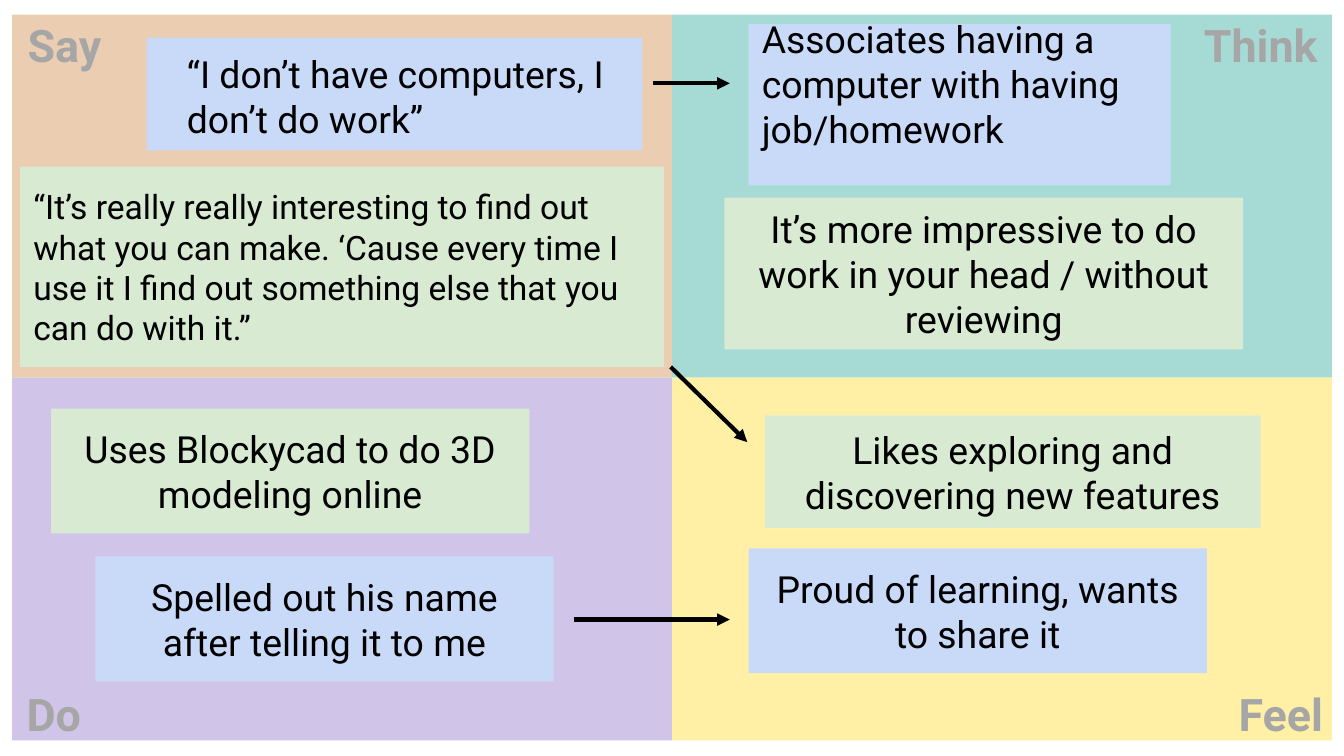
"""Build an empathy map slide with four quadrants, notes and arrows."""
from lxml import etree
from pptx import Presentation
from pptx import util as u
from pptx.dml.color import RGBColor
from pptx.enum import shapes, text
from pptx.oxml.ns import qn

FONT = "Roboto"
BLACK, WHITE, BLUE, GREEN = "000000", "FFFFFF", "C9DAF8", "D9EAD3"
LEFT, MID = text.PP_ALIGN.LEFT, text.PP_ALIGN.CENTER
TOP, CORE = text.MSO_ANCHOR.TOP, text.MSO_ANCHOR.MIDDLE

SIZE = (10, 10 * 9 / 16)
GRID = (0.09, 0.11, 4.91, 2.7)
QUADS = ["C77025", "009688", "7E57C2", "FFD600"]
LABELS = [
    ("Say", -0.14, 0.03, 1.24),
    ("Think", 8.67, 0.03, 1.42),
    ("Do", -0.22, 5.01, 1.24),
    ("Feel", 8.91, 5.01, 1.24),
]
VEIL = (0.03, 0.03, 9.93, 5.56)
PAD = (0.1, 0.1, 0.1, 0.1)
NOTES = [
    ("“I don’t have computers, I don’t do work”",
     (1.09, 0.28, 3.69, 0.84), BLUE, 20, LEFT, TOP, (0.3, 0.1, 0.1, 0.1)),
    ("Associates having a computer with having job/homework",
     (5.57, 0.18, 3.14, 1.2), BLUE, 20, LEFT, CORE, (0.1, 0, 0.1, 0.32)),
    ("“It’s really really interesting to find out what you can make. "
     "‘Cause every time I use it I find out something else that you "
     "can do with it.”",
     (0.15, 1.24, 4.79, 1.49), GREEN, 18, LEFT, CORE, PAD),
    ("Likes exploring and discovering new features",
     (5.69, 3.09, 3.69, 0.84), GREEN, 20, MID, CORE, PAD),
    ("Uses Blockycad to do 3D modeling online",
     (0.38, 3.04, 3.56, 0.93), GREEN, 20, MID, CORE, PAD),
    ("Spelled out his name after telling it to me",
     (0.71, 4.14, 3.41, 0.93), BLUE, 20, MID, CORE, PAD),
    ("Proud of learning, wants to share it",
     (5.57, 4.08, 3.41, 0.93), BLUE, 20, MID, CORE, PAD),
    ("It’s more impressive to do work in your head / without reviewing",
     (5.39, 1.47, 3.86, 1.13), GREEN, 20, MID, CORE, PAD),
]
ARROWS = [
    (4.86, 0.62, 5.43, 0.62),
    (4.99, 2.73, 5.56, 3.29),
    (4.27, 4.61, 5.43, 4.61),
]


def inches(nums):
    return [u.Inches(n) for n in nums]


def paint(target, color):
    target.solid()
    target.fore_color.rgb = RGBColor.from_string(color)


def add_rect(slide, box, color):
    rect = slide.shapes.add_shape(shapes.MSO_SHAPE.RECTANGLE, *inches(box))
    rect.shadow.inherit = False
    rect.line.fill.background()
    paint(rect.fill, color)
    return rect


def write(shape, words, size, align=MID, anchor=TOP, pad=PAD, bold=False):
    frame = shape.text_frame
    frame.word_wrap = True
    frame.vertical_anchor = anchor
    (frame.margin_left, frame.margin_top,
     frame.margin_right, frame.margin_bottom) = inches(pad)
    para = frame.paragraphs[0]
    para.alignment = align
    run = para.add_run()
    run.text = words
    run.font.name, run.font.size, run.font.bold = FONT, u.Pt(size), bold
    paint(run.font.fill, BLACK)


def add_arrow(slide, ends):
    arrow = slide.shapes.add_connector(
        shapes.MSO_CONNECTOR.STRAIGHT, *inches(ends))
    arrow.line.width = u.Pt(2.25)
    paint(arrow.line.fill, BLACK)
    etree.SubElement(arrow.line._get_or_add_ln(), qn("a:tailEnd"),
                     type="triangle")
    etree.SubElement(arrow._element.spPr, qn("a:effectLst"))


def main():
    deck = Presentation()
    deck.slide_width, deck.slide_height = inches(SIZE)
    slide = deck.slides.add_slide(deck.slide_layouts[6])
    paint(slide.background.fill, WHITE)

    left, top, wide, high = GRID
    for i, color in enumerate(QUADS):
        row, col = divmod(i, 2)
        add_rect(slide, (left + col * wide, top + row * high, wide, high), color)
    for words, x, y, width in LABELS:
        label = slide.shapes.add_textbox(*inches((x, y, width, 0.59)))
        write(label, words, 24, bold=True)

    veil = add_rect(slide, VEIL, WHITE)
    tint = veil._element.spPr.find(qn("a:solidFill"))[0]
    etree.SubElement(tint, qn("a:alpha"), val="65000")

    for words, box, color, size, align, anchor, pad in NOTES:
        write(add_rect(slide, box, color), words, size, align, anchor, pad)
    for ends in ARROWS:
        add_arrow(slide, ends)
    deck.save("out.pptx")


if __name__ == "__main__":
    main()
